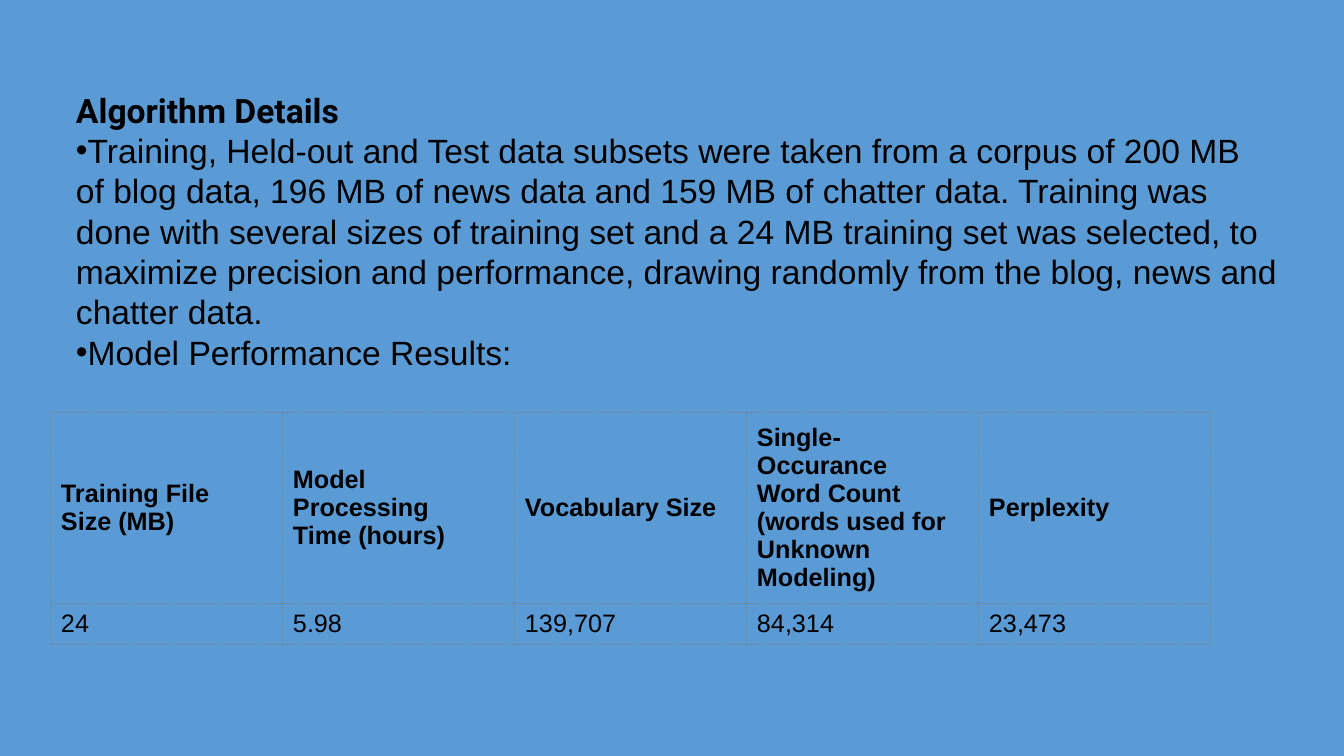
from lxml.etree import SubElement
from pptx import Presentation
from pptx.dml.color import RGBColor
from pptx.enum.text import MSO_ANCHOR, MSO_AUTO_SIZE, PP_ALIGN
from pptx.oxml.ns import qn
from pptx.util import Emu, Pt

PIXEL = 914400 / 100.8


def px(pixels):
    return Emu(round(pixels * PIXEL))


def color(hex_string):
    return RGBColor.from_string(hex_string)


class SlideBuilder:
    ink = "000000"
    border = "808080"
    background = "5B9BD5"
    body_font = "Arial"
    title_font = "Roboto"

    def __init__(self, deck):
        self.slide = deck.slides.add_slide(deck.slide_layouts[1])
        fill = self.slide.background.fill
        fill.solid()
        fill.fore_color.rgb = color(self.background)

    def style(self, para, font_name, size, leading, bold=False):
        para.font.name = font_name
        para.font.size = Pt(size)
        para.font.bold = bold
        para.font.color.rgb = color(self.ink)
        para.alignment = PP_ALIGN.LEFT
        para.line_spacing = Pt(leading)
        para.space_before = para.space_after = Pt(0)

    def place(self, box, left, top, width, height, inset_top):
        box.left, box.top, box.width, box.height = map(px, (left, top, width, height))
        frame = box.text_frame
        frame.word_wrap = True
        frame.auto_size = MSO_AUTO_SIZE.NONE
        frame.vertical_anchor = MSO_ANCHOR.TOP
        frame.margin_left = frame.margin_right = px(10)
        frame.margin_top, frame.margin_bottom = px(inset_top), 0
        return frame

    def title(self, text, *bounds):
        frame = self.place(self.slide.shapes.title, *bounds, inset_top=5)
        frame.text = text
        self.style(frame.paragraphs[0], self.title_font, 24, 28.8, bold=True)

    def bullets(self, items, *bounds):
        frame = self.place(self.slide.placeholders[1], *bounds, inset_top=0)
        frame.text = "\n".join(items)
        for para in frame.paragraphs:
            self.style(para, self.body_font, 24, 28.8)
            properties = para._p.get_or_add_pPr()
            properties.set("marL", "0")
            properties.set("indent", "0")
            SubElement(properties, qn("a:buChar"), char="•")

    def table(self, rows, left, top, column_width, row_heights):
        columns = len(rows[0])
        frame = self.slide.shapes.add_table(
            len(rows), columns, px(left), px(top),
            px(column_width * columns), px(sum(row_heights)))
        table = frame.table
        table.horz_banding = False
        for column in table.columns:
            column.width = px(column_width)
        for row_index, (values, height) in enumerate(zip(rows, row_heights)):
            table.rows[row_index].height = px(height)
            for column_index, value in enumerate(values):
                self.cell(table.cell(row_index, column_index), value, row_index == 0)

    def cell(self, cell, text, bold):
        cell.text = text
        cell.vertical_anchor = MSO_ANCHOR.MIDDLE
        cell.margin_left, cell.margin_right = px(11), px(26)
        cell.margin_top = cell.margin_bottom = px(5)
        self.style(cell.text_frame.paragraphs[0], self.body_font, 18, 20, bold)
        properties = cell._tc.get_or_add_tcPr()
        for side in ("lnL", "lnR", "lnT", "lnB"):
            line = SubElement(properties, qn(f"a:{side}"), w=str(Pt(0.75)))
            line_fill = SubElement(line, qn("a:solidFill"))
            SubElement(line_fill, qn("a:srgbClr"), val=self.border)
            SubElement(line, qn("a:prstDash"), val="dot")
        cell.fill.background()


deck = Presentation()
deck.slide_width, deck.slide_height = px(1344), px(756)
page = SlideBuilder(deck)

# Heading and description
page.title("Algorithm Details", 66, 85, 1221, 45)
page.bullets([
    "Training, Held-out and Test data subsets were taken from a corpus of 200 MB "
    "of blog data, 196 MB of news data and 159 MB of chatter data. Training was "
    "done with several sizes of training set and a 24 MB training set was selected, "
    "to maximize precision and performance, drawing randomly from the blog, news "
    "and chatter data.",
    "Model Performance Results:",
], 66, 130, 1221, 250)

# Performance results
page.table([
    ["Training File Size (MB)", "Model Processing Time (hours)", "Vocabulary Size",
     "Single-Occurance Word Count (words used for Unknown Modeling)", "Perplexity"],
    ["24", "5.98", "139,707", "84,314", "23,473"],
], 50, 412, 232, [191, 41])

deck.save("out.pptx")
